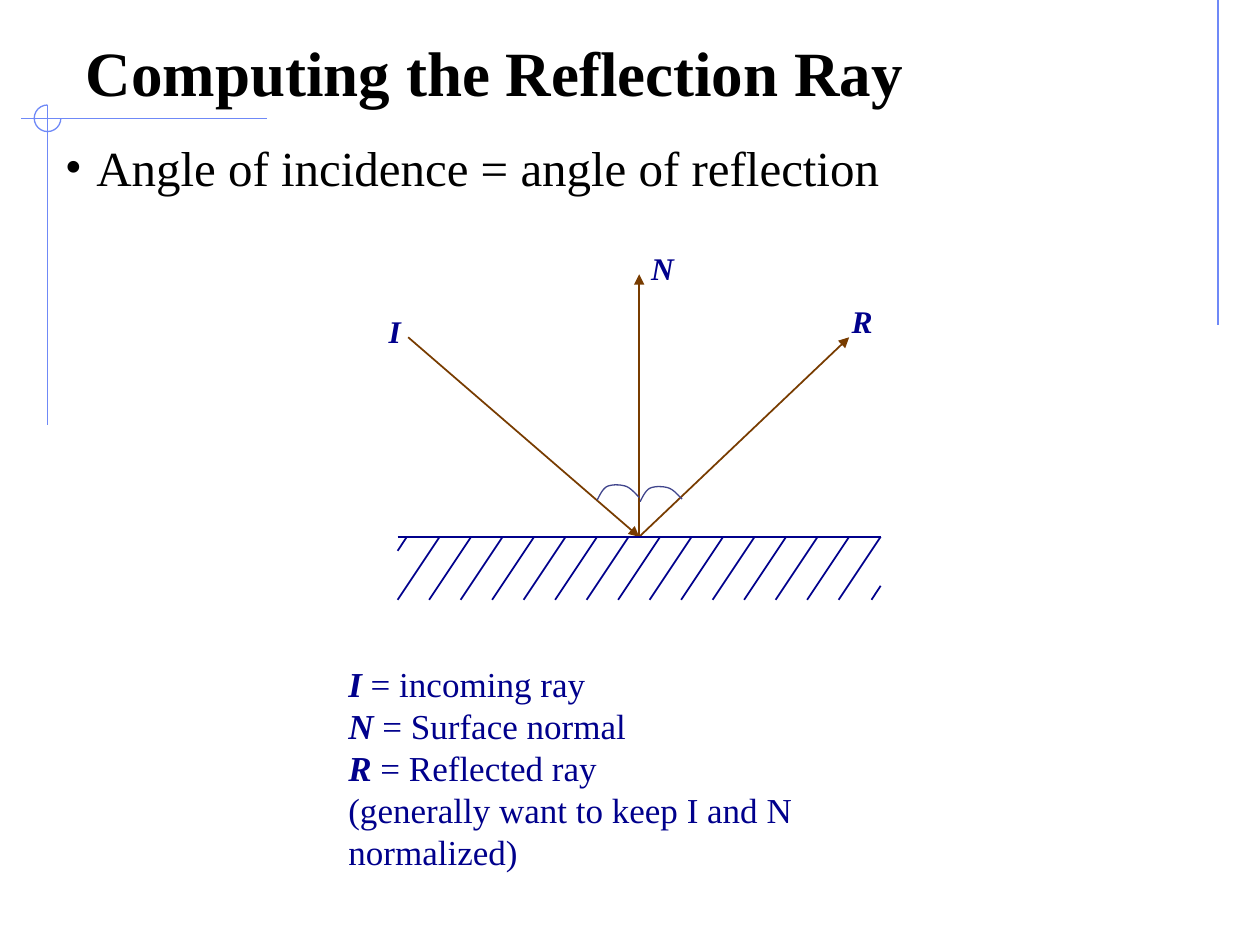
from lxml.etree import SubElement
from pptx import Presentation
from pptx.dml.color import RGBColor
from pptx.enum.shapes import MSO_CONNECTOR, MSO_SHAPE
from pptx.enum.text import MSO_ANCHOR
from pptx.oxml.ns import qn
from pptx.util import Pt

PALE_BLUE, NAVY, BROWN, BLACK = "6F89F7", "00008C", "783C00", "000000"
ARC_BLUE = "40458C"


def color(hex_text):
    return RGBColor.from_string(hex_text)


def add_line(start, end, line_color, width=1, arrow=False):
    line = slide.shapes.add_connector(
        MSO_CONNECTOR.STRAIGHT, *[Pt(value) for value in (*start, *end)])
    line.line.color.rgb = color(line_color)
    line.line.width = Pt(width)
    if arrow:
        SubElement(line.line._get_or_add_ln(), qn("a:tailEnd"), type="triangle")
    SubElement(line._element.spPr, qn("a:effectLst"))


presentation = Presentation()
presentation.slide_width, presentation.slide_height = Pt(720), Pt(540)
slide = presentation.slides.add_slide(presentation.slide_layouts[6])

# Corner decoration
for start, end in [((696, 0), (696, 186)), ((152.5, 67.6), (12, 67.6)),
                   ((27.2, 60), (27.2, 243))]:
    add_line(start, end, PALE_BLUE, 0.75)
circle = slide.shapes.add_shape(MSO_SHAPE.ARC, Pt(19.6), Pt(60), Pt(15.2), Pt(15.2))
circle.adjustments[0], circle.adjustments[1] = 0, 162  # 270 degrees
circle.fill.background()
circle.line.color.rgb = color(PALE_BLUE)
circle.line.width = Pt(0.75)
circle.shadow.inherit = False

# Text: box, size, colour, wrap, paragraphs of (text, emphasised) runs
texts = [
    ((42, 18, 636, 48), 36, BLACK, True, [[("Computing the Reflection Ray", False)]]),
    ((30, 75, 660, 72), 28, BLACK, True,
     [[("Angle of incidence = angle of reflection", False)]]),
    ((192, 375, 360, 120), 20, NAVY, True,
     [[("I", True), (" = incoming ray", False)],
      [("N ", True), ("= Surface normal", False)],
      [("R ", True), ("= Reflected ray", False)],
      [("(generally want to keep I and N normalized)", False)]]),
    ((365, 139, 27, 29), 18, NAVY, False, [[("N", True)]]),
    ((215, 175, 22, 29), 18, NAVY, False, [[("I", True)]]),
    ((479.5, 169, 27, 29), 18, NAVY, False, [[("R", True)]]),
]
boxes = []
for place, size, text_color, wrap, paragraphs in texts:
    box = slide.shapes.add_textbox(*[Pt(value) for value in place])
    frame = box.text_frame
    frame.word_wrap = wrap
    for index, runs in enumerate(paragraphs):
        paragraph = frame.add_paragraph() if index else frame.paragraphs[0]
        for text, emphasised in runs:
            run = paragraph.add_run()
            run.text = text
            run.font.name = "Times New Roman"
            run.font.size = Pt(size)
            run.font.color.rgb = color(text_color)
            run.font.bold = run.font.italic = emphasised
    boxes.append(box)

# Title weight and body bullet
title, body = boxes[:2]
title.text_frame.vertical_anchor = MSO_ANCHOR.BOTTOM
title.text_frame.paragraphs[0].runs[0].font.bold = True
properties = body.text_frame.paragraphs[0]._p.get_or_add_pPr()
properties.set("marL", str(Pt(18)))
properties.set("indent", str(Pt(-18)))
SubElement(properties, qn("a:buFont"), typeface="Times New Roman")
SubElement(properties, qn("a:buChar"), char="•")

# Rays meeting at the surface
hit = (365.25, 306.75)
add_line((233.25, 192.75), hit, BROWN, arrow=True)
add_line(hit, (485.25, 192.75), BROWN, arrow=True)
add_line(hit, (365.25, 156.75), BROWN, arrow=True)

# Hatched surface, with a clipped stroke at each end
left, right, top, bottom = 227.25, 503.25, 306.75, 342.75
add_line((left, top), (right, top), NAVY)
for index in range(15):
    foot = left + 18 * index
    add_line((foot + 24, top), (foot, bottom), NAVY)
add_line((right, 334.75), (right - 5.25, bottom), NAVY)
add_line((left + 5.25, top), (left, 314.75), NAVY)

# Equal angle marks: cubic curves sampled into short segments
curves = [[(0, 9), (0.9, 7.4), (3, 2.4), (5.8, 1.2)],
          [(5.8, 1.2), (8.5, 0), (13.5, 0.1), (16.5, 1.2)],
          [(16.5, 1.2), (19.5, 2.3), (22.6, 6.2), (24, 7.5)]]
for arc_left, arc_top in [(341.25, 276.75), (365.75, 277.75)]:
    points = []
    for curve in curves:
        for step in range(13):
            t = step / 12
            weights = ((1 - t) ** 3, 3 * t * (1 - t) ** 2, 3 * t * t * (1 - t), t ** 3)
            x, y = [sum(w * point[axis] for w, point in zip(weights, curve))
                    for axis in (0, 1)]
            points.append((Pt(arc_left + x), Pt(arc_top + y)))
    builder = slide.shapes.build_freeform(*points[0])
    builder.add_line_segments(points[1:], close=False)
    arc = builder.convert_to_shape()
    arc.fill.background()
    arc.line.color.rgb = color(ARC_BLUE)
    arc.line.width = Pt(0.75)
    arc.shadow.inherit = False

presentation.save("out.pptx")
